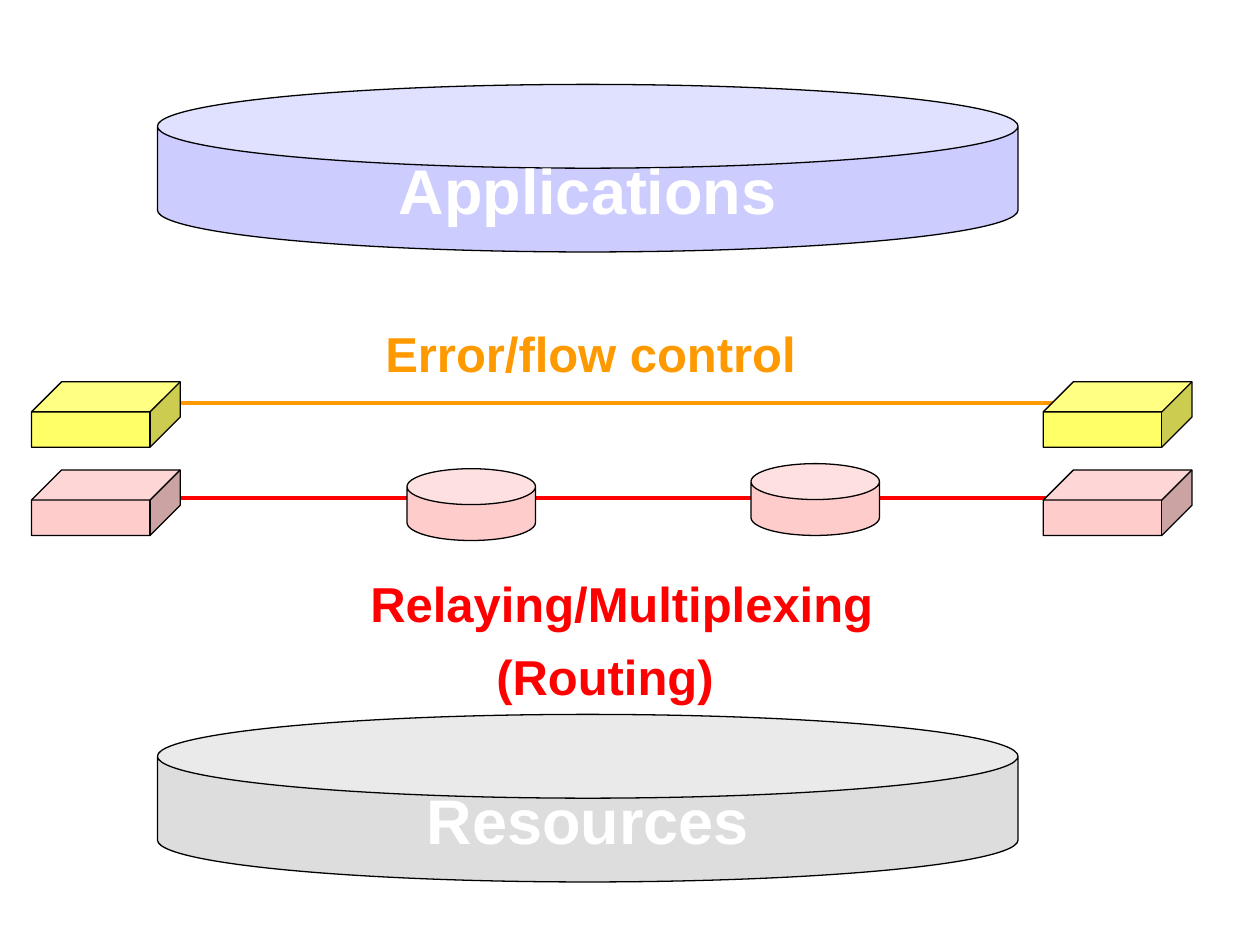
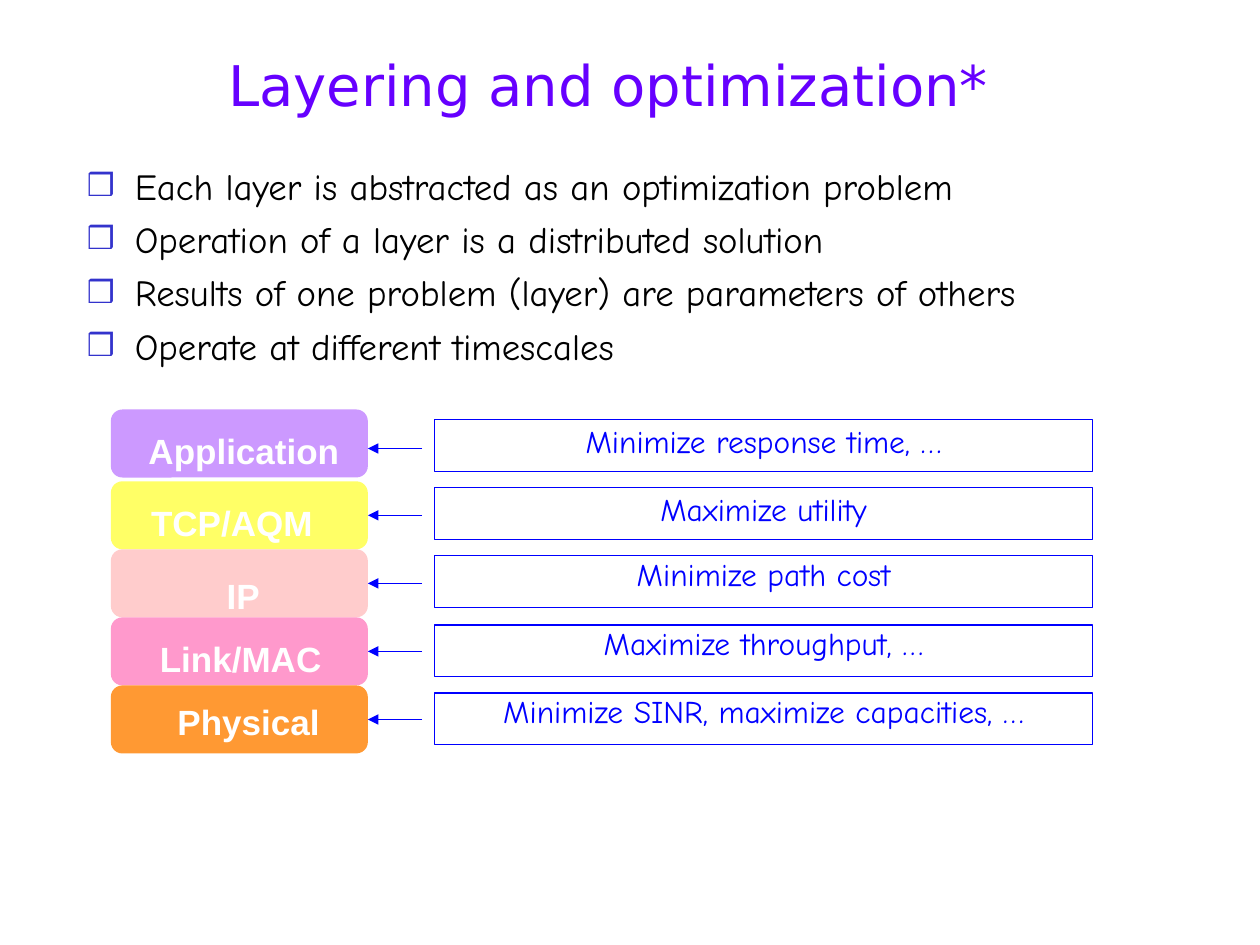
from lxml import etree
from pptx import Presentation
from pptx.dml.color import RGBColor
from pptx.enum.shapes import MSO_CONNECTOR, MSO_SHAPE
from pptx.enum.text import MSO_ANCHOR, MSO_AUTO_SIZE, PP_ALIGN
from pptx.oxml.ns import qn
from pptx.util import Pt

PX = 9144
STRAIGHT = MSO_CONNECTOR.STRAIGHT
CAN, CUBE = MSO_SHAPE.CAN, MSO_SHAPE.CUBE
RECT, ROUNDED = MSO_SHAPE.RECTANGLE, MSO_SHAPE.ROUNDED_RECTANGLE
TOP, MIDDLE = MSO_ANCHOR.TOP, MSO_ANCHOR.MIDDLE
LEFT, CENTER = PP_ALIGN.LEFT, PP_ALIGN.CENTER
NO_AUTOFIT = MSO_AUTO_SIZE.NONE
RIGHT_SIDE = 3

COLORS = {
    "black": "000000", "white": "FFFFFF", "gray": "DDDDDD", "lavender": "CCCCFF",
    "amber": "FF9900", "red": "FF0000", "pink": "FFCCCC", "yellow": "FFFF66",
    "violet": "CC99FF", "rose": "FF99CC", "orange": "FF9933", "blue": "0000FF",
    "title": "6600FF", "bullet": "3333CC",
}
RGB = {name: RGBColor.from_string(value) for name, value in COLORS.items()}


def draw_shape(slide, preset, box, fill=None, line=None, adjust=None):
    shape = slide.shapes.add_shape(preset, *[v * PX for v in box])
    if fill:
        shape.fill.solid()
        shape.fill.fore_color.rgb = RGB[fill]
    else:
        shape.fill.background()
    if line:
        shape.line.color.rgb = RGB[line]
        shape.line.width = Pt(0.75)
    else:
        shape.line.fill.background()
    if adjust:
        shape.adjustments[0] = adjust
    return shape


def write(shape, text, font, size, color, bold=False, align=LEFT, anchor=TOP, wrap=False):
    frame = shape.text_frame
    frame.text = text
    frame.word_wrap = wrap
    frame.auto_size = NO_AUTOFIT
    frame.vertical_anchor = anchor
    for paragraph in frame.paragraphs:
        paragraph.alignment = align
        for run in paragraph.runs:
            run.font.name = font
            run.font.size = Pt(size)
            run.font.bold = bold
            run.font.color.rgb = RGB[color]
    return frame


deck = Presentation()
deck.slide_width, deck.slide_height = 1000 * PX, 750 * PX

stack = deck.slides.add_slide(deck.slide_layouts[6])

for name, top, fill in [("Resources", 567, "gray"), ("Applications", 67, "lavender")]:
    disc = draw_shape(stack, CAN, (125, top, 683, 133), fill, "black", 0.5)
    write(disc, name, "Arial", 36, "white", True, CENTER, MIDDLE)

for left, y, color in [(125, 320, "amber"), (133, 395, "red")]:
    link = stack.shapes.add_connector(STRAIGHT, left * PX, y * PX, (left + 800) * PX, y * PX)
    link.line.color.rgb = RGB[color]
    link.line.width = Pt(2.25)

for left, top in [(596, 368), (323, 372)]:
    draw_shape(stack, CAN, (left, top, 102, 57), "pink", "black", 0.5)

for left in (25, 828):
    for top, fill in [(373, "pink"), (303, "yellow")]:
        draw_shape(stack, CUBE, (left, top, 118, 52), fill, "black", 0.46)

for caption, left, top, width, color in [
    ("Error/flow control", 296, 252, 346, "amber"),
    ("Relaying/Multiplexing", 284, 450, 419, "red"),
    ("(Routing)", 384, 508, 192, "red"),
]:
    box = stack.shapes.add_textbox(left * PX, top * PX, width * PX, 57 * PX)
    write(box, caption, "Arial", 28, color, True)

layering = deck.slides.add_slide(deck.slide_layouts[1])
title, points = layering.placeholders
title.left, title.top, title.width, title.height = [v * PX for v in (58, 25, 850, 83)]
write(title, "Layering and optimization*", "DejaVu Sans", 32, "title",
      align=CENTER, anchor=MIDDLE, wrap=True)

points.left, points.top, points.width, points.height = [v * PX for v in (59, 125, 850, 508)]
point_frame = write(points, "\n".join([
    "Each layer is abstracted as an optimization problem",
    "Operation of a layer is a distributed solution",
    "Results of one problem (layer) are parameters of others",
    "Operate at different timescales",
]), "Comic Neue", 21, "black", wrap=True)
for index, point in enumerate(point_frame.paragraphs):
    point.space_before = Pt(5.2 if index else 0)
    properties = point._p.get_or_add_pPr()
    properties.set("marL", str(38 * PX))
    properties.set("indent", str(-38 * PX))
    bullet_color = etree.SubElement(properties, qn("a:buClr"))
    etree.SubElement(bullet_color, qn("a:srgbClr"), val=COLORS["bullet"])
    etree.SubElement(properties, qn("a:buSzPct"), val="85000")
    etree.SubElement(properties, qn("a:buChar"), char="❒")

layers = [
    ("Application", "violet", 325, 356, (108, 336, 172), "Minimize response time, …", 0.9),
    ("TCP/AQM", "yellow", 382, 409, (110, 393, 148), "Maximize utility", 0.9),
    ("IP", "pink", 436, 463, (170, 451, 46), "Minimize path cost", 0.8),
    ("Link/MAC", "rose", 490, 517, (117, 501, 148), "Maximize throughput, …", 0.8),
    ("Physical", "orange", 544, 571, (131, 551, 133),
     "Minimize SINR, maximize capacities, …", 0.8),
]
for row, (name, fill, top, arrow_y, label_box, goal, spacing) in enumerate(layers):
    goal_box = draw_shape(layering, RECT, (345, 333 + round(54.25 * row), 522, 41), line="blue")
    goal_frame = write(goal_box, goal, "Comic Neue", 18, "blue", align=CENTER, wrap=True)
    goal_frame.paragraphs[0].line_spacing = spacing

    layer = draw_shape(layering, ROUNDED, (88, top, 204, 54), fill, adjust=0.17)
    left, label_top, width = label_box
    label = layering.shapes.add_textbox(left * PX, label_top * PX, width * PX, 43 * PX)
    write(label, name, "Arial", 20, "white", True)

    arrow = layering.shapes.add_connector(STRAIGHT, 335 * PX, arrow_y * PX, 292 * PX, arrow_y * PX)
    if arrow_y == top + 27:
        arrow.end_connect(layer, RIGHT_SIDE)
    arrow.line.color.rgb = RGB["blue"]
    arrow.line.width = Pt(0.75)
    outline = arrow._element.spPr.find(qn("a:ln"))
    etree.SubElement(outline, qn("a:tailEnd"), type="triangle")

for slide in deck.slides:
    for item in slide.shapes:
        if hasattr(item, "begin_x"):
            etree.SubElement(item._element.spPr, qn("a:effectLst"))
        else:
            item.shadow.inherit = False

deck.save("out.pptx")
